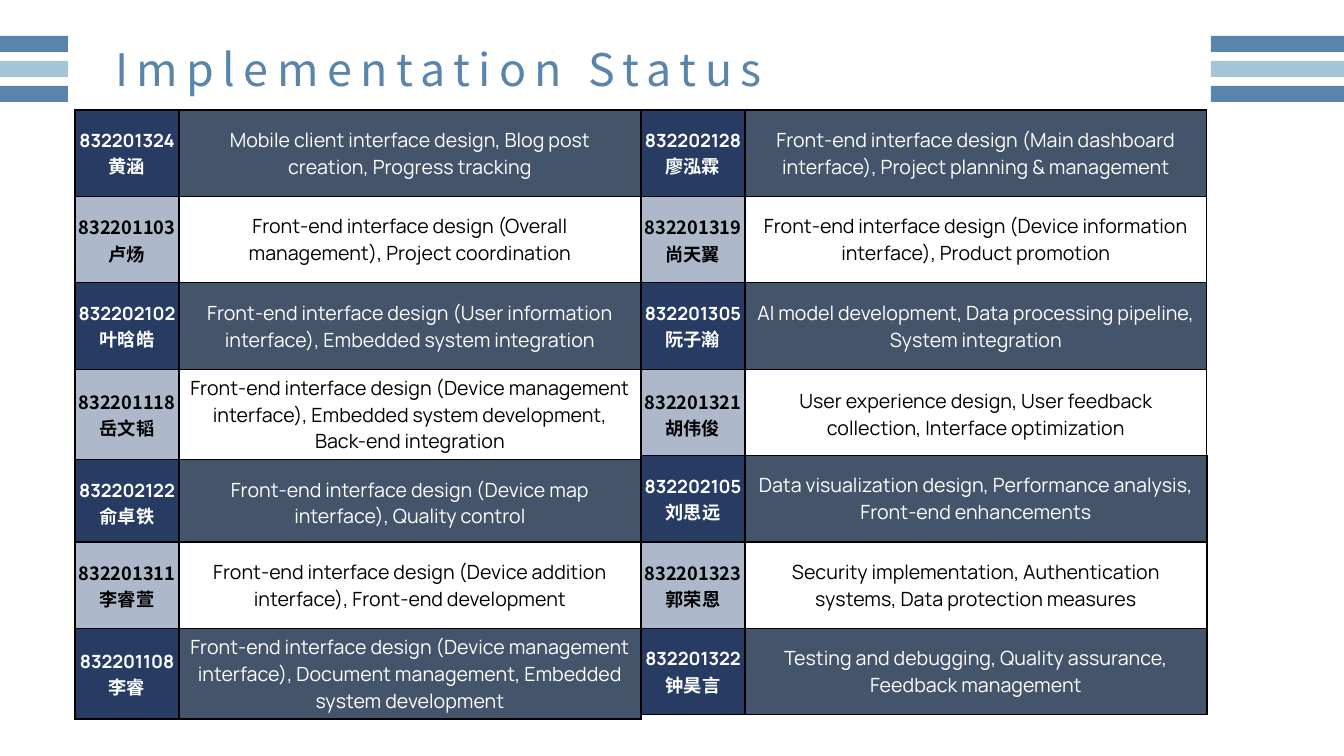
from lxml.etree import SubElement
from pptx import Presentation
from pptx.dml.color import RGBColor
from pptx.enum.shapes import MSO_SHAPE
from pptx.enum.text import MSO_ANCHOR, MSO_AUTO_SIZE, PP_ALIGN
from pptx.oxml import parse_xml
from pptx.oxml.ns import nsdecls, qn
from pptx.util import Pt

PX = 12192000 / 1344
LATIN, CJK = "Manrope", "Noto Sans CJK SC"
BLUE, PALE_BLUE = "5985AD", "A3C5D5"
# Row styles alternate: id fill, task fill, text colour, font of the number
DARK = ("283C63", "44546A", "FFFFFF", LATIN)
LIGHT = ("ADB9CA", "FFFFFF", "000000", CJK)

MEMBERS = [
    ("832201324", "黄涵", "Mobile client interface design, Blog post creation, Progress tracking"),
    ("832202128", "廖泓霖", "Front-end interface design (Main dashboard interface), Project planning & management"),
    ("832201103", "卢炀", "Front-end interface design (Overall management), Project coordination"),
    ("832201319", "尚天翼", "Front-end interface design (Device information interface), Product promotion"),
    ("832202102", "叶晗皓", "Front-end interface design (User information interface), Embedded system integration"),
    ("832201305", "阮子瀚", "AI model development, Data processing pipeline, System integration"),
    ("832201118", "岳文韬", "Front-end interface design (Device management interface), "
                            "Embedded system development, Back-end integration"),
    ("832201321", "胡伟俊", "User experience design, User feedback collection, Interface optimization"),
    ("832202122", "俞卓铁", "Front-end interface design (Device map interface), Quality control"),
    ("832202105", "刘思远", "Data visualization design, Performance analysis, Front-end enhancements"),
    ("832201311", "李睿萱", "Front-end interface design (Device addition interface), Front-end development"),
    ("832201323", "郭荣恩", "Security implementation, Authentication systems, Data protection measures"),
    ("832201108", "李睿", "Front-end interface design (Device management interface), "
                          "Document management, Embedded system development"),
    ("832201322", "钟昊言", "Testing and debugging, Quality assurance, Feedback management"),
]
MAIN_COUNT = 9  # members in the main table; each later one has its own table
LEFT, TOP, ROW_HEIGHT = 75, 110, 432 / 5
ID_WIDTH, TASK_WIDTH = 104, 462
PAIR_WIDTH = ID_WIDTH + TASK_WIDTH


def px(*lengths):
    return [round(length * PX) for length in lengths]


def write(para, text, *, size, color, font=LATIN, bold=False, spacing=0):
    para.alignment = PP_ALIGN.CENTER
    span = para.add_run()
    span.text = text
    span.font.name = font
    span.font.size = Pt(size)
    span.font.bold = bold
    span.font.color.rgb = RGBColor.from_string(color)
    properties = span.font._element
    SubElement(properties, qn("a:ea")).set("typeface", CJK)
    if spacing:
        properties.set("spc", str(spacing * 100))


deck = Presentation()
deck.slide_width, deck.slide_height = px(1344, 756)
page = deck.slides.add_slide(deck.slide_layouts[5])

# Stripes at both edges
for left, width in ((0, 68), (1211, 133)):
    stripes = page.shapes.add_group_shape()
    for index, color in enumerate((BLUE, PALE_BLUE, BLUE)):
        stripe = stripes.shapes.add_shape(MSO_SHAPE.RECTANGLE, *px(left, 36 + 25 * index, width, 16))
        stripe.shadow.inherit = False
        stripe.fill.solid()
        stripe.fill.fore_color.rgb = RGBColor.from_string(color)
        stripe.line.fill.background()

# Title
title = page.shapes.title
title.left, title.top, title.width, title.height = px(91, 36, 696, 65)
frame = title.text_frame
frame.auto_size = MSO_AUTO_SIZE.NONE
frame.word_wrap = False
frame.vertical_anchor = MSO_ANCHOR.MIDDLE
frame.margin_left = frame.margin_right = frame.margin_top = frame.margin_bottom = 0
write(frame.paragraphs[0], "Implementation Status", size=32, color=BLUE, font=CJK, spacing=6)

# Main table, then one small table for each remaining member
for start in (0, *range(MAIN_COUNT, len(MEMBERS))):
    is_main = start == 0
    members = MEMBERS[:MAIN_COUNT] if is_main else [MEMBERS[start]]
    heights = [ROW_HEIGHT] * 4 + [ROW_HEIGHT / 2] * 2 if is_main else [ROW_HEIGHT]
    pairs = 2 if is_main else 1
    first_row, first_side = divmod(start, 2)
    table = page.shapes.add_table(
        len(heights), 2 * pairs,
        *px(LEFT + first_side * PAIR_WIDTH, TOP + first_row * ROW_HEIGHT,
            pairs * PAIR_WIDTH, sum(heights))).table
    table.first_row = table.horz_banding = False
    for column, width in zip(table.columns, px(*[ID_WIDTH, TASK_WIDTH] * pairs)):
        column.width = width
    for row, height in zip(table.rows, px(*heights)):
        row.height = height

    # The last member of the main table spans two half rows, beside empty cells
    if is_main:
        for column in (0, 1):
            table.cell(4, column).merge(table.cell(5, column))
            for row in (4, 5):
                table.cell(row, column + 2).fill.background()

    for index, (number, name, task) in enumerate(members):
        row, side = divmod(index, 2)
        id_fill, task_fill, color, number_font = LIGHT if (first_row + row) % 2 else DARK
        id_cell, task_cell = table.cell(row, 2 * side), table.cell(row, 2 * side + 1)
        for cell, fill, inset, above, below in ((id_cell, id_fill, 1, 1, 0), (task_cell, task_fill, 9, 5, 5)):
            cell.fill.solid()
            cell.fill.fore_color.rgb = RGBColor.from_string(fill)
            cell.vertical_anchor = MSO_ANCHOR.MIDDLE
            cell.margin_left = cell.margin_right = px(inset)[0]
            cell.margin_top, cell.margin_bottom = px(above, below)
            for position, edge in enumerate(("lnL", "lnR", "lnT", "lnB")):
                border = parse_xml(
                    f'<a:{edge} {nsdecls("a")} w="{Pt(1)}"><a:solidFill>'
                    f'<a:srgbClr val="000000"/></a:solidFill></a:{edge}>')
                cell._tc.get_or_add_tcPr().insert(position, border)
        id_frame = id_cell.text_frame
        write(id_frame.paragraphs[0], number, size=13, color=color, font=number_font, bold=True)
        write(id_frame.add_paragraph(), name, size=13, color=color, font=CJK, bold=True)
        write(task_cell.text_frame.paragraphs[0], task, size=14, color=color)

deck.save("out.pptx")
